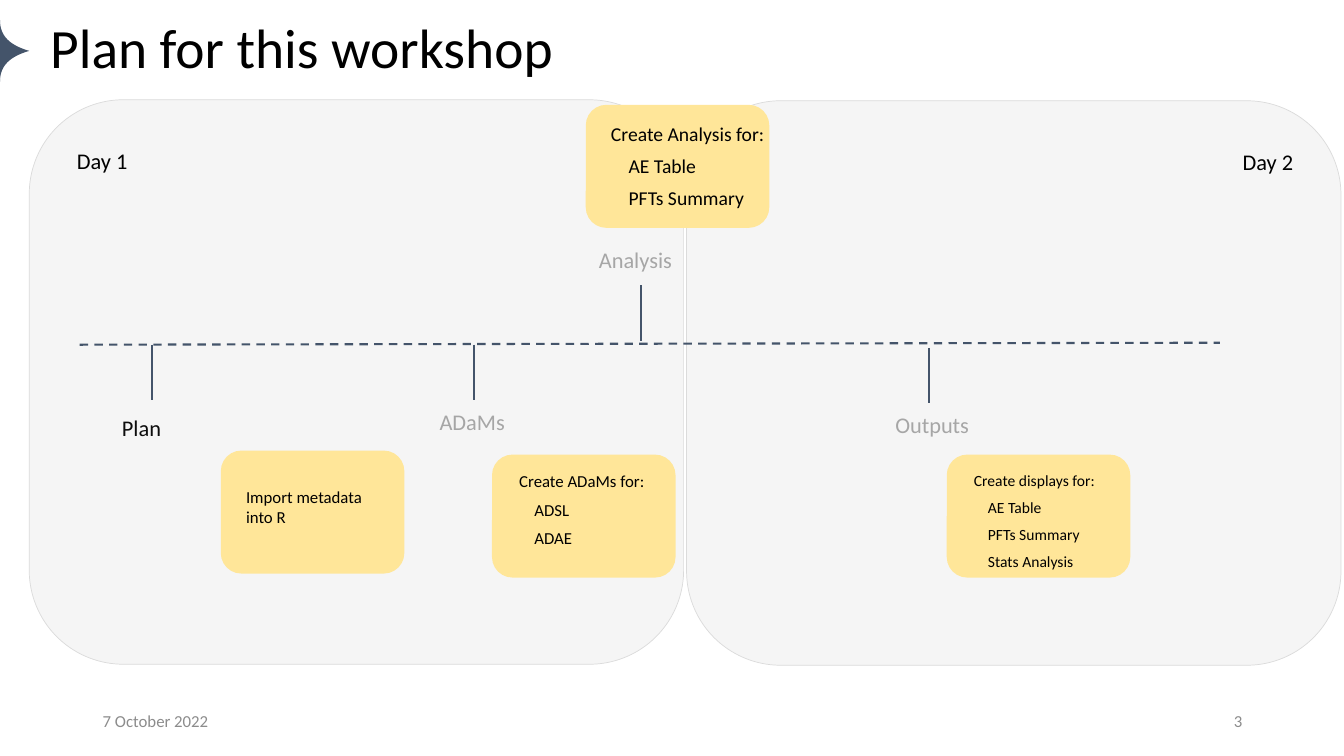
import pptx
import pptx.util
import pptx.dml.color
import pptx.enum.dml
import pptx.enum.shapes
import pptx.enum.text
import pptx.oxml
import pptx.oxml.ns
from pptx.util import Inches

NAVY, BLACK, NEAR_BLACK, GREY, FOOTER = "44546A", "000000", "0D0D0D", "A6A6A6", "8C8C8C"
YELLOW, PANEL, PANEL_EDGE = "FFE699", "EDEDED", "DBDBDB"
LEFT, RIGHT = pptx.enum.text.PP_ALIGN.LEFT, pptx.enum.text.PP_ALIGN.RIGHT
TOP, MIDDLE = pptx.enum.text.MSO_ANCHOR.TOP, pptx.enum.text.MSO_ANCHOR.MIDDLE


def rgb(color):
    return pptx.dml.color.RGBColor.from_string(color)


class WorkshopSlide:
    """Holds the shared style and draws each kind of element on one slide."""

    font = "Calibri"
    card_size = (1.82, 1.22)

    def __init__(self, prs):
        self.s = prs.slides.add_slide(prs.slide_layouts[6])

    def set_text(self, sp, lines, size, color, align=LEFT, anchor=TOP, inset=0.2):
        tf = sp.text_frame
        tf.word_wrap = True
        tf.vertical_anchor = anchor
        tf.text = "\n".join(lines)
        if inset:
            tf.margin_left = tf.margin_right = Inches(inset)
            tf.margin_top = tf.margin_bottom = Inches(inset)
        for i, p in enumerate(tf.paragraphs):
            p.alignment = align
            if i:
                p.space_before = p.space_after = pptx.util.Pt(3)
                p._p.get_or_add_pPr().set("marL", str(Inches(size / 80)))
            elif len(lines) > 1:
                p.space_after = pptx.util.Pt(3)
            for r in p.runs:
                r.font.name = self.font
                r.font.size = pptx.util.Pt(size)
                r.font.color.rgb = rgb(color)
        return tf

    def text(self, x, y, w, h, lines, size, color, **style):
        sp = self.s.shapes.add_textbox(Inches(x), Inches(y), Inches(w), Inches(h))
        return self.set_text(sp, lines, size, color, **style)

    def rounded(self, x, y, w, h, fill):
        sp = self.s.shapes.add_shape(
            pptx.enum.shapes.MSO_SHAPE.ROUNDED_RECTANGLE,
            Inches(x), Inches(y), Inches(w), Inches(h))
        sp.shadow.inherit = False
        sp.fill.solid()
        sp.fill.fore_color.rgb = rgb(fill)
        sp.line.fill.background()
        return sp

    def day(self, x, y, label, align):
        sp = self.rounded(x, y, 6.49, 5.6, PANEL)
        color = sp._element.spPr.find(".//" + pptx.oxml.ns.qn("a:srgbClr"))
        color.append(pptx.oxml.parse_xml(
            f'<a:alpha {pptx.oxml.ns.nsdecls("a")} val="50000"/>'))
        sp.line.color.rgb = rgb(PANEL_EDGE)
        sp.line.width = pptx.util.Pt(0.5)
        self.set_text(sp, [label], 16, BLACK, align=align)

    def line(self, x1, y1, x2, y2, dashed=False):
        cx = self.s.shapes.add_connector(
            pptx.enum.shapes.MSO_CONNECTOR.STRAIGHT,
            Inches(x1), Inches(y1), Inches(x2), Inches(y2))
        cx.line.color.rgb = rgb(NAVY)
        cx.line.width = pptx.util.Pt(1.5)
        if dashed:
            cx.line.dash_style = pptx.enum.dml.MSO_LINE.DASH
        cx._element.spPr.append(pptx.oxml.parse_xml(
            f'<a:effectLst {pptx.oxml.ns.nsdecls("a")}/>'))

    def card(self, x, y, text_x, text_y, text_w, lines, size):
        self.rounded(x, y, *self.card_size, YELLOW)
        self.text(text_x, text_y, text_w, 1.3, lines, size, BLACK)

    def star(self, top=0.2, middle=0.505, tip=0.29, steps=16):
        upper = []
        for i in range(steps + 1):
            t = i / steps
            u = 1 - t
            x = 3 * u * t * t * 0.1 + t ** 3 * tip
            y = u ** 3 * top + 3 * u * u * t * 0.36 + 3 * u * t * t * 0.45 + t ** 3 * middle
            upper.append((x, y))
        lower = [(x, 2 * middle - y) for x, y in reversed(upper[:-1])]
        points = [(Inches(x), Inches(y)) for x, y in upper + lower]
        fb = self.s.shapes.build_freeform(*points[0])
        fb.add_line_segments(points[1:], close=True)
        sp = fb.convert_to_shape()
        sp.shadow.inherit = False
        sp.fill.solid()
        sp.fill.fore_color.rgb = rgb(NAVY)
        sp.line.fill.background()


def main():
    prs = pptx.Presentation()
    prs.slide_width, prs.slide_height = Inches(13.33), Inches(7.5)
    slide = WorkshopSlide(prs)

    slide.star()
    slide.day(6.81, 1, "Day 2", RIGHT)
    slide.day(0.29, 0.99, "Day 1", LEFT)
    for x, label, align in ((0.92, "7 October 2022", LEFT), (9.42, "3", RIGHT)):
        slide.text(x, 6.95, 3, 0.4, [label], 12, FOOTER,
                   align=align, anchor=MIDDLE, inset=None)
    title = slide.text(0.4, 0.27, 12.53, 0.47, ["Plan for this workshop"], 39.6, BLACK,
                       anchor=MIDDLE, inset=None)
    title.paragraphs[0].line_spacing = 0.9

    slide.line(0.79, 3.42, 12.1, 3.4, dashed=True)
    for label, x, y, color, tick_x, tick_y in (
            ("Plan", 1.01, 3.97, NEAR_BLACK, 1.51, 3.42),
            ("ADaMs", 4.16, 3.92, GREY, 4.7, 3.42),
            ("Analysis", 5.74, 2.31, GREY, 6.36, 2.83),
            ("Outputs", 8.68, 3.95, GREY, 9.21, 3.45)):
        slide.text(x, y, 1.25, 1, [label], 16, color)
        slide.line(tick_x, tick_y, tick_x, tick_y + 0.55)

    slide.card(2.19, 4.47, 2.24, 4.63, 1.81, ["Import metadata into R"], 12)
    slide.card(4.88, 4.51, 4.95, 4.47, 1.8, ["Create ADaMs for:", "ADSL", "ADAE"], 12)
    slide.card(5.81, 1.04, 5.86, 1.01, 2,
               ["Create Analysis for:", "AE Table", "PFTs Summary"], 14)
    slide.card(9.39, 4.51, 9.46, 4.47, 1.8,
               ["Create displays for:", "AE Table", "PFTs Summary", "Stats Analysis"], 11.1)

    prs.save("out.pptx")


if __name__ == "__main__":
    main()
